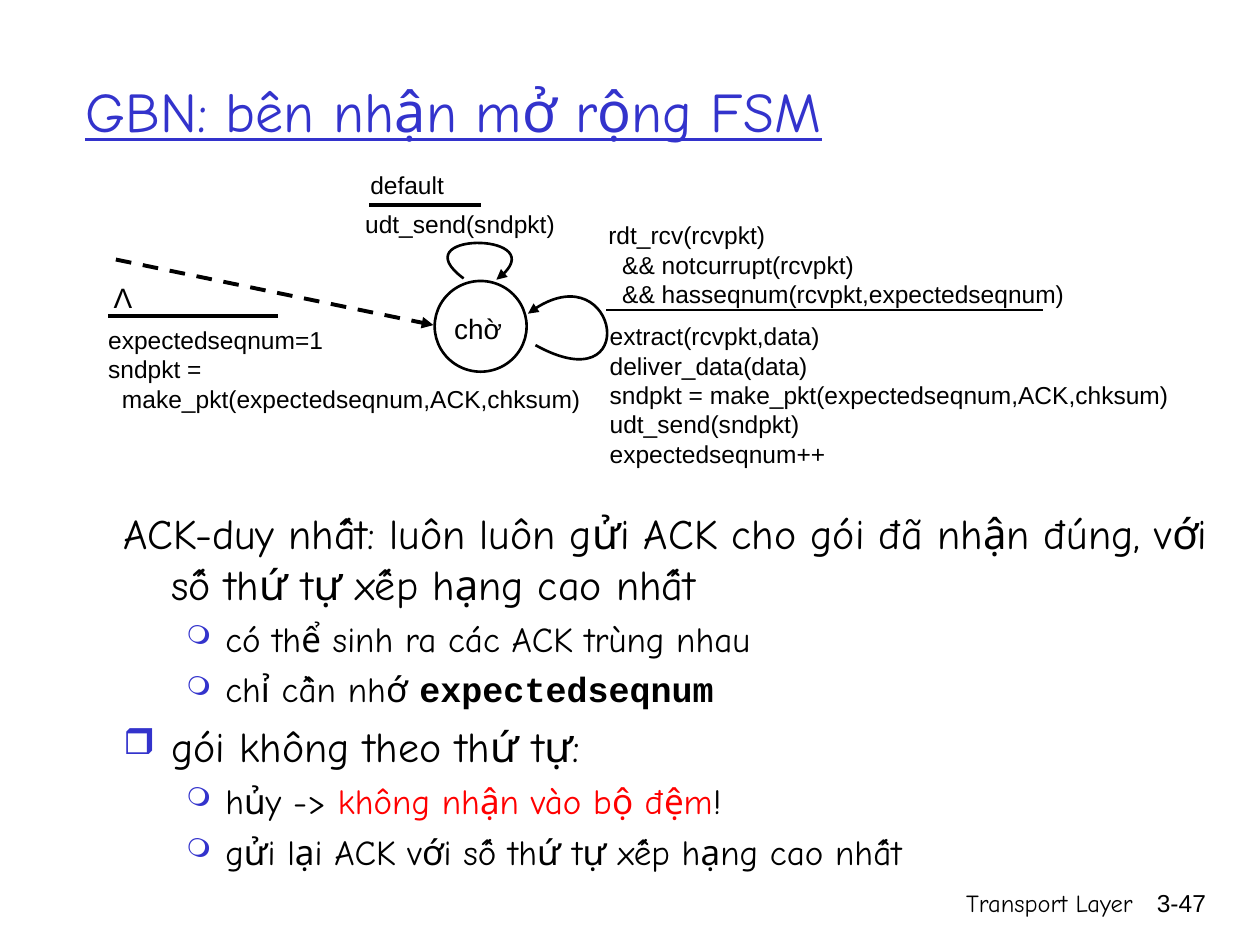
from dataclasses import dataclass

from lxml import etree
from pptx import Presentation
from pptx.dml.color import RGBColor
from pptx.enum.dml import MSO_LINE
from pptx.enum.shapes import MSO_CONNECTOR, MSO_SHAPE
from pptx.enum.text import MSO_ANCHOR, PP_ALIGN
from pptx.oxml.ns import qn
from pptx.util import Inches, Pt

LEFT, CENTER, RIGHT = PP_ALIGN.LEFT, PP_ALIGN.CENTER, PP_ALIGN.RIGHT
TOP, MIDDLE = MSO_ANCHOR.TOP, MSO_ANCHOR.MIDDLE
DASH = MSO_LINE.DASH
STRAIGHT = MSO_CONNECTOR.STRAIGHT
OVAL = MSO_SHAPE.OVAL

BLACK, BLUE, RED, WHITE = "000000", "3333CC", "FF0000", "FFFFFF"
HAND, SANS, MONO = "Comic Neue", "Arial", "Courier New"
CODE_INDENT = 0.11


@dataclass
class Span:
    text: str
    size: float = 14
    font: str = SANS
    color: str = BLACK
    bold: bool = False
    underline: bool = False


@dataclass
class Line:
    spans: list[Span]
    margin: float = 0
    hanging: float = 0
    before: float = 0
    level: int = 0
    bullet: str = ""
    bullet_percent: int = 100


@dataclass
class Block:
    box: tuple[float, float, float, float]
    lines: list[Line]
    align: PP_ALIGN = LEFT
    anchor: MSO_ANCHOR = TOP
    wrap: bool = True


@dataclass
class Segment:
    start: tuple[float, float]
    end: tuple[float, float]
    width: float = 2.25
    arrow: bool = False


def rgb(color: str) -> RGBColor:
    return RGBColor.from_string(color)


def code(box: tuple, *texts: str, indented: tuple = (), **options) -> Block:
    lines = [Line([Span(text)], CODE_INDENT if row in indented else 0)
             for row, text in enumerate(texts)]
    return Block(box, lines, **options)


def point(*spans: Span, bullet: str = "❒") -> Line:
    return Line(list(spans), 0.38, 0.38, 6, 0, bullet, 85)


def subpoint(*spans: Span) -> Line:
    return Line(list(spans), 0.81, 0.31, 5, 1, "❍", 75)


def main_text(text: str) -> Span:
    return Span(text, 24, HAND)


def sub_text(text: str, color: str = BLACK) -> Span:
    return Span(text, 20, HAND, color)


def add_bullet(properties, line: Line) -> None:
    color = etree.SubElement(properties, qn("a:buClr"))
    etree.SubElement(color, qn("a:srgbClr"), val=BLUE)
    etree.SubElement(properties, qn("a:buSzPct"), val=str(line.bullet_percent * 1000))
    etree.SubElement(properties, qn("a:buChar"), char=line.bullet)


def add_block(slide, block: Block) -> None:
    frame = slide.shapes.add_textbox(*map(Inches, block.box)).text_frame
    frame.word_wrap = block.wrap
    frame.vertical_anchor = block.anchor
    for row, line in enumerate(block.lines):
        paragraph = frame.add_paragraph() if row else frame.paragraphs[0]
        paragraph.alignment = block.align
        paragraph.level = line.level
        paragraph.space_before = Pt(line.before)
        properties = paragraph._p.get_or_add_pPr()
        properties.set("marL", str(Inches(line.margin)))
        properties.set("indent", str(Inches(-line.hanging)))
        if line.bullet:
            add_bullet(properties, line)
        for span in line.spans:
            run = paragraph.add_run()
            run.text = span.text
            run.font.size = Pt(span.size)
            run.font.name = span.font
            run.font.bold = span.bold
            run.font.underline = span.underline
            run.font.color.rgb = rgb(span.color)


def style_line(line, width: float, arrow: bool = False, dashed: bool = False) -> None:
    line.color.rgb = rgb(BLACK)
    line.width = Pt(width)
    if dashed:
        line.dash_style = DASH
    if arrow:
        etree.SubElement(line._get_or_add_ln(), qn("a:tailEnd"), type="triangle")


def add_segment(slide, segment: Segment) -> None:
    connector = slide.shapes.add_connector(
        STRAIGHT, *map(Inches, segment.start + segment.end))
    style_line(connector.line, segment.width, segment.arrow, dashed=segment.arrow)
    etree.SubElement(connector._element.spPr, qn("a:effectLst"))


def add_transition(slide, *points: tuple[float, float]) -> None:
    start, *rest = [(Inches(x), Inches(y)) for x, y in points]
    builder = slide.shapes.build_freeform(*start)
    builder.add_line_segments(rest, close=False)
    transition = builder.convert_to_shape()
    outline = transition._element.spPr.find(".//" + qn("a:path"))
    curve = etree.Element(qn("a:cubicBezTo"))
    for step in outline.findall(qn("a:lnTo")):
        curve.append(step[0])
        outline.remove(step)
    outline.append(curve)
    transition.fill.background()
    transition.shadow.inherit = False
    style_line(transition.line, 1.5, arrow=True)


def add_state(slide) -> None:
    state = slide.shapes.add_shape(OVAL, *map(Inches, (3.45, 2.23, 0.73, 0.72)))
    state.fill.solid()
    state.fill.fore_color.rgb = rgb(WHITE)
    state.shadow.inherit = False
    style_line(state.line, 1.5)


BLOCKS = [
    Block((5.92, 7, 3.17, 0.5), [Line([Span("Transport Layer", font=HAND)])], RIGHT),
    code((8.93, 7, 0.74, 0.5), "3-47", align=RIGHT),
    Block((0.58, 0.25, 8.5, 1.25),
          [Line([Span("GBN: bên nhận mở rộng FSM", 32, HAND, BLUE, underline=True)])],
          anchor=MIDDLE),
    Block((0.88, 3.98, 8.91, 3.12), [
        point(main_text("ACK-duy nhất: luôn luôn gửi ACK cho gói đã nhận đúng, "
                        "với số thứ tự xếp hạng cao nhất"), bullet=""),
        subpoint(sub_text("có thể sinh ra các ACK trùng nhau")),
        subpoint(sub_text("chỉ cần nhớ "), Span("expectedseqnum", 20, MONO, bold=True)),
        point(main_text("gói không theo thứ tự:")),
        subpoint(sub_text("hủy -> "), sub_text("không nhận vào bộ đệm", RED), sub_text("!")),
        subpoint(sub_text("gửi lại ACK với số thứ tự xếp hạng cao nhất")),
    ]),
    Block((3.36, 2.42, 0.87, 0.26), [Line([Span("chờ", 16)])], CENTER),
    code((2.8, 1.61, 1.77, 0.34), "udt_send(sndpkt)"),
    code((2.84, 1.3, 0.79, 0.27), "default", wrap=False),
    code((4.73, 1.7, 3.9, 0.62), "rdt_rcv(rcvpkt)", "&& notcurrupt(rcvpkt)",
         "&& hasseqnum(rcvpkt,expectedseqnum)", indented=(1, 2)),
    code((4.74, 2.5, 4.72, 0.94), "extract(rcvpkt,data)", "deliver_data(data)",
         "sndpkt = make_pkt(expectedseqnum,ACK,chksum)", "udt_send(sndpkt)",
         "expectedseqnum++"),
    code((0.76, 2.53, 3.98, 1.07), "expectedseqnum=1", "sndpkt =",
         "make_pkt(expectedseqnum,ACK,chksum)", indented=(2,)),
    Block((0.8, 2.18, 0.35, 0.37), [Line([Span("Λ", 16)])], CENTER, wrap=False),
]

SEGMENTS = [
    Segment((0.92, 2.06), (3.44, 2.58), arrow=True),
    Segment((2.93, 1.63), (3.82, 1.63)),
    Segment((4.81, 2.46), (8.28, 2.46), width=1.5),
    Segment((0.86, 2.51), (2.21, 2.51)),
]


def main() -> None:
    deck = Presentation()
    deck.slide_width, deck.slide_height = Inches(10), Inches(7.5)
    slide = deck.slides.add_slide(deck.slide_layouts[6])
    add_state(slide)
    for segment in SEGMENTS:
        add_segment(slide, segment)
    add_transition(slide, (4.25, 2.74), (5.1, 3.21), (4.9, 1.95), (4.19, 2.49))
    add_transition(slide, (3.68, 2.21), (3.18, 1.84), (4.45, 1.84), (3.94, 2.22))
    for block in BLOCKS:
        add_block(slide, block)
    deck.save("out.pptx")


if __name__ == "__main__":
    main()
